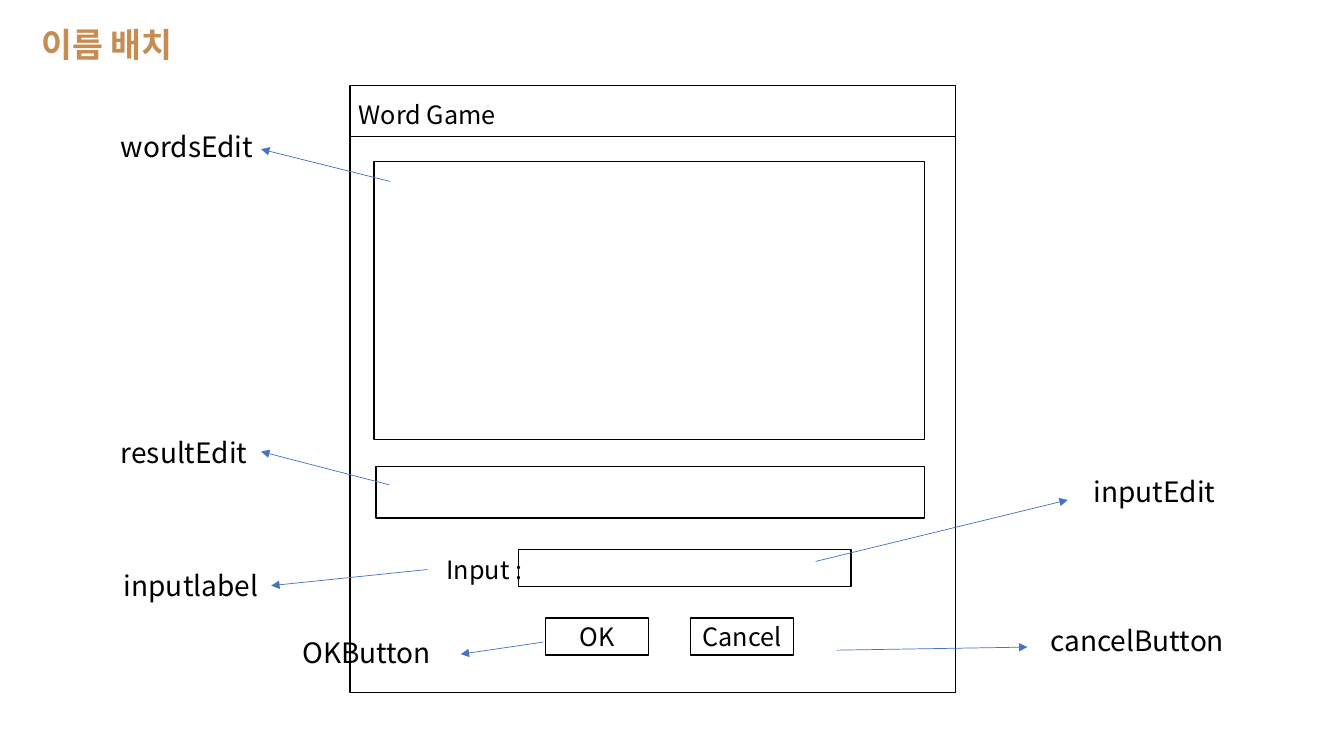
import pptx
import pptx.dml.color
import pptx.enum.shapes
import pptx.enum.text
import pptx.oxml.ns
import pptx.util
from lxml import etree
from pptx.util import Inches

FONT = "Noto Sans CJK KR"
COLORS = {"ink": "000000", "paper": "FFFFFF", "arrow": "4472C4", "title": "C68C52"}


def rgb(color):
    return pptx.dml.color.RGBColor.from_string(COLORS[color])


def add_xml(parent, tag, **attributes):
    return etree.SubElement(parent, pptx.oxml.ns.qn(tag), attributes)


def write(shape, text, size, color="ink", bold=False, centred=False):
    """Fill a shape with one vertically centred line of text."""
    frame = shape.text_frame
    frame.text = text
    frame.word_wrap = True
    frame.vertical_anchor = pptx.enum.text.MSO_ANCHOR.MIDDLE
    paragraph = frame.paragraphs[0]
    align = pptx.enum.text.PP_ALIGN
    paragraph.alignment = align.CENTER if centred else align.LEFT
    font = paragraph.runs[0].font
    font.name = FONT
    font.size = pptx.util.Pt(size)
    font.bold = bold
    font.color.rgb = rgb(color)
    add_xml(font._element, "a:ea", typeface=FONT)


def add_label(slide, text, left, top, width=1.93, height=0.44, size=20, **style):
    box = slide.shapes.add_textbox(
        Inches(left), Inches(top), Inches(width), Inches(height))
    write(box, text, size, **style)


def add_box(slide, left, top, width, height, caption=None):
    box = slide.shapes.add_shape(
        pptx.enum.shapes.MSO_SHAPE.RECTANGLE,
        Inches(left), Inches(top), Inches(width), Inches(height))
    box.shadow.inherit = False
    box.fill.solid()
    box.fill.fore_color.rgb = rgb("paper")
    box.line.color.rgb = rgb("ink")
    box.line.width = pptx.util.Pt(1)
    if caption:
        write(box, caption, 18, centred=True)


def add_line(slide, start, end, color="ink", arrow=False):
    line = slide.shapes.add_connector(
        pptx.enum.shapes.MSO_CONNECTOR.STRAIGHT,
        *(Inches(value) for value in (*start, *end)))
    line.line.color.rgb = rgb(color)
    line.line.width = pptx.util.Pt(0.5)
    if arrow:
        add_xml(line.line._get_or_add_ln(), "a:tailEnd", type="triangle")
    add_xml(line._element.spPr, "a:effectLst")


def add_dialog(slide):
    add_box(slide, 3.47, 0.85, 6.01, 6.02)
    add_line(slide, (3.47, 1.35), (9.48, 1.35))
    add_label(slide, "Word Game", 3.46, 0.95, 2.24, 0.37, size=18)
    add_box(slide, 3.71, 1.6, 5.46, 2.76)
    add_box(slide, 3.73, 4.63, 5.44, 0.51)
    add_box(slide, 5.14, 5.45, 3.3, 0.37)
    for caption, left in (("OK", 5.41), ("Cancel", 6.85)):
        add_box(slide, left, 6.13, 1.02, 0.37, caption)
    add_label(slide, "Input :", 4.33, 5.45, 1.23, 0.4, size=18)


def add_widget_names(slide):
    """Label each widget, with an arrow from the widget to its name."""
    widget_names = (
        ("OKButton", (2.9, 6.25), (5.39, 6.37), (4.57, 6.49)),
        ("wordsEdit", (1.1, 1.23), (3.87, 1.8), (2.59, 1.48)),
        ("resultEdit", (1.1, 4.27), (3.86, 4.81), (2.59, 4.48)),
        ("inputlabel", (1.13, 5.59), (4.24, 5.65), (2.69, 5.81)),
        ("inputEdit", (10.75, 4.65), (8.09, 5.57), (10.59, 4.96)),
        ("cancelButton", (10.32, 6.13), (8.3, 6.45), (10.19, 6.42)),
    )
    for name, position, start, end in widget_names:
        add_line(slide, start, end, "arrow", arrow=True)
        add_label(slide, name, *position)


def main():
    deck = pptx.Presentation()
    deck.slide_width, deck.slide_height = Inches(13.33), Inches(7.5)
    slide = deck.slides.add_slide(deck.slide_layouts[6])
    add_dialog(slide)
    add_widget_names(slide)
    add_label(slide, "이름 배치", 0.31, 0.19, 3.57, 0.5, size=24,
              color="title", bold=True)
    deck.save("out.pptx")


if __name__ == "__main__":
    main()
